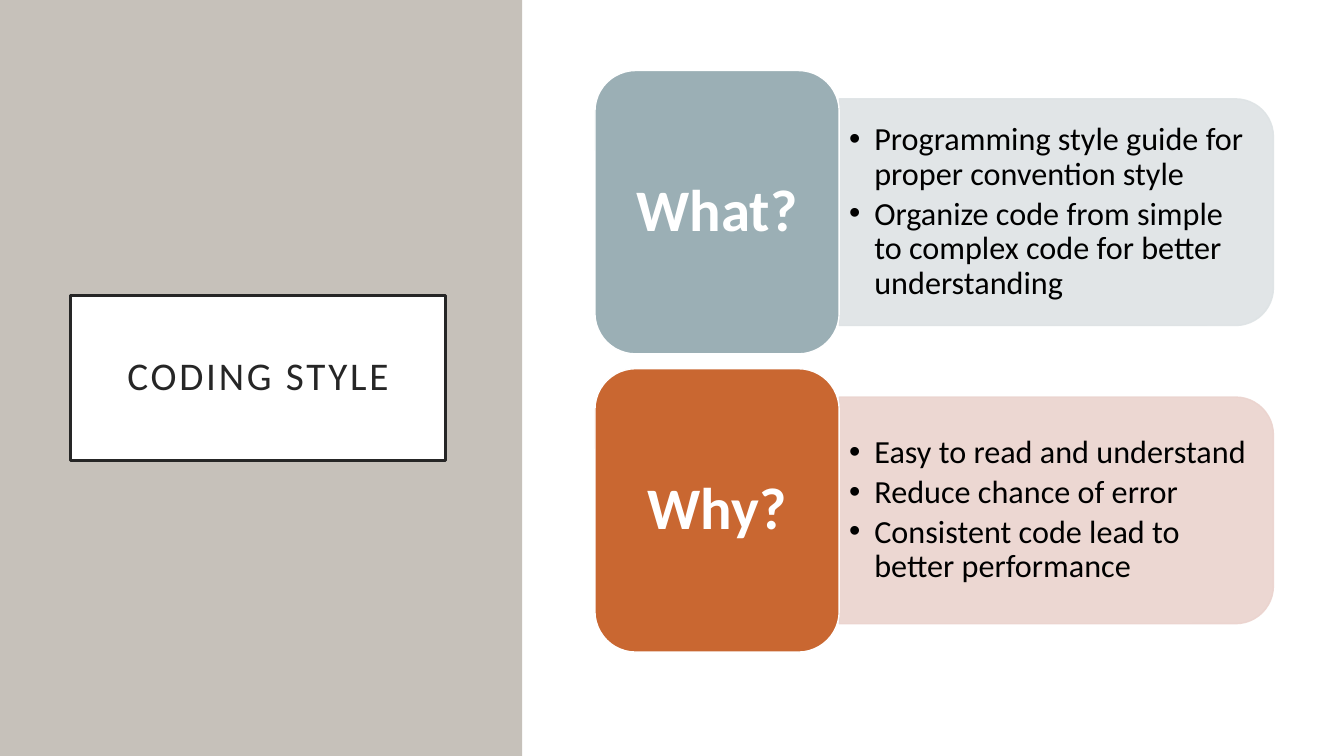
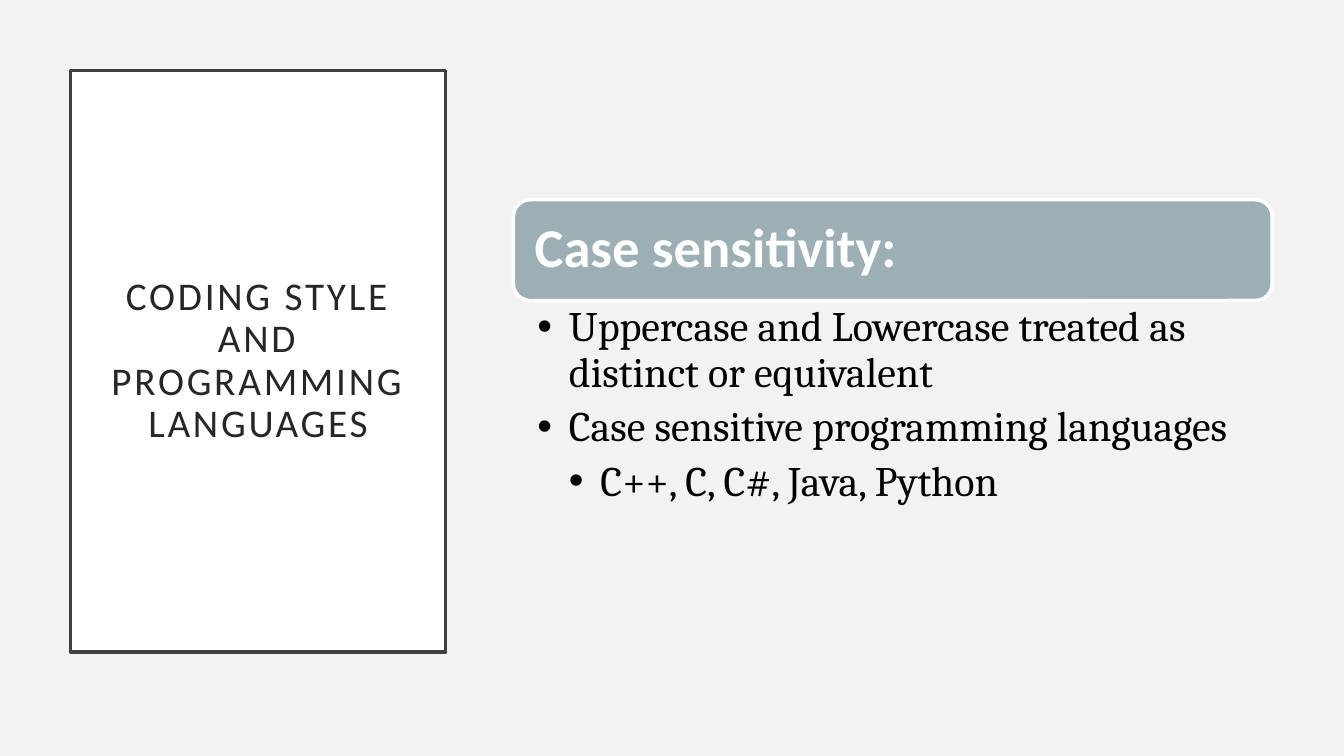
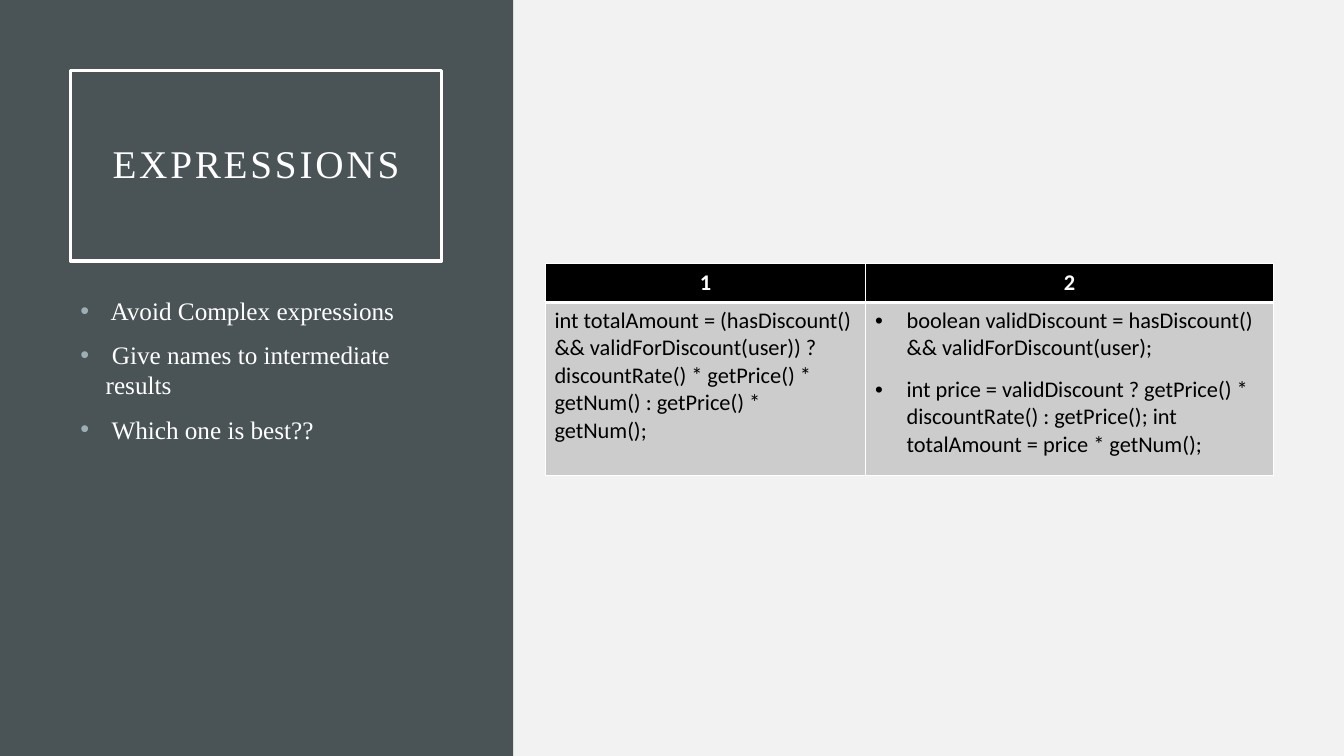
import dataclasses

import lxml.etree
import pptx
import pptx.dml.color
import pptx.enum.shapes
import pptx.enum.text
import pptx.oxml.ns
import pptx.util

Pt = pptx.util.Pt
qn = pptx.oxml.ns.qn
SHAPES = pptx.enum.shapes.MSO_SHAPE
ALIGN = pptx.enum.text.PP_ALIGN
ANCHOR = pptx.enum.text.MSO_ANCHOR


@dataclasses.dataclass(frozen=True)
class Theme:
    width: float = 960
    height: float = 540
    margin: float = 50.4
    sans: str = "Calibri"
    serif: str = "Cambria"
    roman: str = "Times New Roman"
    title_size: float = 28
    tile_size: float = 42
    banner_size: float = 39
    point_size: float = 23
    detail_size: float = 30
    body_size: float = 18
    code_size: float = 16
    white: str = "FFFFFF"
    black: str = "000000"
    ink: str = "262626"
    frame: str = "404040"
    paper: str = "F2F2F2"
    stone: str = "C6C1BA"
    slate: str = "4A5356"
    blue: str = "9BAFB5"
    blue_tint: str = "DEE3E5"
    orange: str = "C96731"
    orange_tint: str = "EBD3CE"
    code_fill: str = "CCCCCC"


THEME = Theme()


@dataclasses.dataclass(frozen=True)
class Box:
    left: float
    top: float
    width: float
    height: float

    def lengths(self):
        return [Pt(n) for n in dataclasses.astuple(self)]


@dataclasses.dataclass(frozen=True)
class Style:
    font: str
    size: float
    color: str
    bold: bool = False
    align: ALIGN = ALIGN.LEFT
    line: float = 1.0
    before: float = 0
    after: float = 0
    indent: float = 0
    bullet_color: str = ""
    tracking: float = 0


def rgb(color):
    return pptx.dml.color.RGBColor.from_string(color)


def add_bullet(paragraph, style):
    properties = paragraph._p.get_or_add_pPr()
    properties.set("marL", str(Pt(style.indent * (paragraph.level + 1))))
    properties.set("indent", str(-Pt(style.indent)))
    if style.bullet_color:
        tint = lxml.etree.SubElement(properties, qn("a:buClr"))
        lxml.etree.SubElement(tint, qn("a:srgbClr"), val=style.bullet_color)
    lxml.etree.SubElement(properties, qn("a:buFont"), typeface="Arial")
    lxml.etree.SubElement(properties, qn("a:buChar"), char="•")


def write(text_frame, lines, style, levels=None):
    text_frame.word_wrap = True
    text_frame.text = "\n".join(lines)
    for index, paragraph in enumerate(text_frame.paragraphs):
        if levels:
            paragraph.level = levels[index]
        if style.indent:
            add_bullet(paragraph, style)
        paragraph.alignment = style.align
        paragraph.line_spacing = style.line
        if index and style.before:
            paragraph.space_before = Pt(style.before)
        if style.after:
            paragraph.space_after = Pt(style.after)
        for run in paragraph.runs:
            run.font.name = style.font
            run.font.size = Pt(style.size)
            run.font.bold = style.bold
            run.font.color.rgb = rgb(style.color)
            if style.tracking:
                run._r.get_or_add_rPr().set("spc", str(round(style.tracking * 100)))


def set_insets(holder, left, top, right, bottom):
    holder.margin_left, holder.margin_top = Pt(left), Pt(top)
    holder.margin_right, holder.margin_bottom = Pt(right), Pt(bottom)


def add_block(slide, kind, box, fill=None, line=None, line_width=1):
    block = slide.shapes.add_shape(kind, *box.lengths())
    block.shadow.inherit = False
    if fill:
        block.fill.solid()
        block.fill.fore_color.rgb = rgb(fill)
    else:
        block.fill.background()
    if line:
        block.line.color.rgb = rgb(line)
        block.line.width = Pt(line_width)
    else:
        block.line.fill.background()
    return block


def add_label(block, text, style, inset):
    frame = block.text_frame
    set_insets(frame, *inset)
    frame.vertical_anchor = ANCHOR.MIDDLE
    write(frame, [text], style)


def add_text(slide, box, lines, style, inset=(7.2, 3.6, 7.2, 3.6), anchor=ANCHOR.TOP, levels=None):
    frame = slide.shapes.add_textbox(*box.lengths()).text_frame
    set_insets(frame, *inset)
    frame.vertical_anchor = anchor
    write(frame, lines, style, levels)


def add_title(slide, box, text, line, fill=None, font=THEME.sans, color=THEME.ink):
    style = Style(font, THEME.title_size, color, align=ALIGN.CENTER, line=0.9, tracking=2)
    title = add_block(slide, SHAPES.RECTANGLE, box, fill, line, 2.5)
    add_label(title, text, style, (14.4,) * 4)


def add_side_panel(slide, width, fill):
    add_block(slide, SHAPES.RECTANGLE, Box(0, 0, width, THEME.height), fill)


def add_question_row(slide, box, question, answers, fill, tint):
    tile_width = box.width * 0.36
    panel = Box(box.left + tile_width, box.top + box.height * 0.1,
                box.width - tile_width, box.height * 0.8)
    shift = (panel.width - panel.height) / 2
    upright = Box(panel.left + shift, panel.top - shift, panel.height, panel.width)
    answer_panel = add_block(slide, SHAPES.ROUND_2_SAME_RECTANGLE, upright, tint, tint)
    answer_panel.rotation = 90
    for color in answer_panel._element.spPr.iter(qn("a:srgbClr")):
        lxml.etree.SubElement(color, qn("a:alpha"), val="90000")

    edge = 8
    answer_box = Box(panel.left, panel.top + edge, panel.width - edge, panel.height - 2 * edge)
    answer_style = Style(THEME.sans, THEME.point_size, THEME.black, line=0.9, after=3.5, indent=18)
    add_text(slide, answer_box, answers, answer_style, anchor=ANCHOR.MIDDLE)

    tile = add_block(slide, SHAPES.ROUNDED_RECTANGLE,
                     Box(box.left, box.top, tile_width, box.height), fill, THEME.white)
    question_style = Style(THEME.sans, THEME.tile_size, THEME.white, True, ALIGN.CENTER, 0.9)
    add_label(tile, question, question_style, (12, 6.5, 12, 6.5))


def add_topic(slide, box, heading, details, levels):
    banner_height = 72
    banner = add_block(slide, SHAPES.ROUNDED_RECTANGLE,
                       Box(box.left, box.top, box.width, banner_height),
                       THEME.blue, THEME.white, 2.5)
    add_label(banner, heading, Style(THEME.sans, THEME.banner_size, THEME.white, True, line=0.9),
              (11.7,) * 4)
    detail_box = Box(box.left, box.top + banner_height, box.width, box.height - banner_height)
    detail_style = Style(THEME.serif, THEME.detail_size, THEME.black,
                         line=0.9, after=6.5, indent=22.5)
    add_text(slide, detail_box, details, detail_style, (17.2, 3.6, 21.3, 3.6), levels=levels)


def set_borders(cell, **widths):
    properties = cell._tc.get_or_add_tcPr()
    for position, side in enumerate(("lnL", "lnR", "lnT", "lnB")):
        border = lxml.etree.Element(qn("a:" + side), w=str(Pt(widths.get(side, 1))))
        fill = lxml.etree.SubElement(border, qn("a:solidFill"))
        lxml.etree.SubElement(fill, qn("a:srgbClr"), val=THEME.white)
        properties.insert(position, border)


def fill_cell(cell, lines, style, fill, anchor, **borders):
    set_insets(cell, 6.6, 3.3, 6.6, 3.3)
    cell.vertical_anchor = anchor
    cell.fill.solid()
    cell.fill.fore_color.rgb = rgb(fill)
    write(cell.text_frame, lines, style)
    set_borders(cell, **borders)


def add_comparison(slide, box, widths, header_height, columns):
    comparison = slide.shapes.add_table(2, len(columns), *box.lengths()).table
    comparison.rows[0].height = Pt(header_height)
    comparison.rows[1].height = Pt(box.height - header_height)
    heading_style = Style(THEME.sans, THEME.code_size, THEME.white, True, ALIGN.CENTER)
    for index, (heading, code, indent) in enumerate(columns):
        comparison.columns[index].width = Pt(widths[index])
        code_style = Style(THEME.sans, THEME.code_size, THEME.black, before=10, indent=indent)
        fill_cell(comparison.cell(0, index), [heading], heading_style,
                  THEME.black, ANCHOR.MIDDLE, lnB=3)
        fill_cell(comparison.cell(1, index), code, code_style,
                  THEME.code_fill, ANCHOR.TOP, lnT=3)


def new_slide(deck, background):
    slide = deck.slides.add_slide(deck.slide_layouts[6])
    slide.background.fill.solid()
    slide.background.fill.fore_color.rgb = rgb(background)
    return slide


def build_coding_style(deck):
    slide = new_slide(deck, THEME.white)
    add_side_panel(slide, 373, THEME.stone)
    add_title(slide, Box(THEME.margin, 211, 268, 118), "CODING STYLE", THEME.ink, THEME.white)
    questions = [
        ("What?",
         ["Programming style guide for proper convention style",
          "Organize code from simple to complex code for better understanding"],
         THEME.blue, THEME.blue_tint),
        ("Why?",
         ["Easy to read and understand",
          "Reduce chance of error",
          "Consistent code lead to better performance"],
         THEME.orange, THEME.orange_tint),
    ]
    row_height, gap = 202.4, 10.6
    for index, question in enumerate(questions):
        top = THEME.margin + index * (row_height + gap)
        add_question_row(slide, Box(425, top, 484.6, row_height), *question)


def build_languages(deck):
    slide = new_slide(deck, THEME.paper)
    add_title(slide, Box(THEME.margin, THEME.margin, 268, 415.5),
              "CODING STYLE AND PROGRAMMING LANGUAGES", THEME.frame, THEME.white)
    add_topic(slide, Box(366.7, 142.7, 542, 215.3), "Case sensitivity:",
              ["Uppercase and Lowercase treated as distinct or equivalent",
               "Case sensitive programming languages",
               "C++, C, C#, Java, Python"],
              [0, 0, 1])


def build_expressions(deck):
    slide = new_slide(deck, THEME.paper)
    add_side_panel(slide, 366.5, THEME.slate)
    add_title(slide, Box(THEME.margin, THEME.margin, 265, 136), "EXPRESSIONS", THEME.white,
              font=THEME.roman, color=THEME.white)
    advice_style = Style(THEME.roman, THEME.body_size, THEME.white,
                         before=10, indent=18, bullet_color=THEME.blue)
    add_text(slide, Box(THEME.margin, 207.4, 265, 269),
             [" Avoid Complex expressions",
              " Give names to intermediate results",
              " Which one is best??"], advice_style)
    add_comparison(slide, Box(389.5, 188.2, 520, 151.6), (229, 291), 28, [
        ("1",
         ["int totalAmount = (hasDiscount() && validForDiscount(user)) ? discountRate()"
          " * getPrice() * getNum() : getPrice() * getNum();"], 0),
        ("2",
         ["boolean validDiscount = hasDiscount() && validForDiscount(user);",
          "int price = validDiscount ? getPrice() * discountRate() : getPrice();"
          " int totalAmount = price * getNum();"], 22.5),
    ])


def main():
    deck = pptx.Presentation()
    deck.slide_width, deck.slide_height = Pt(THEME.width), Pt(THEME.height)
    build_coding_style(deck)
    build_languages(deck)
    build_expressions(deck)
    deck.save("out.pptx")


if __name__ == "__main__":
    main()
